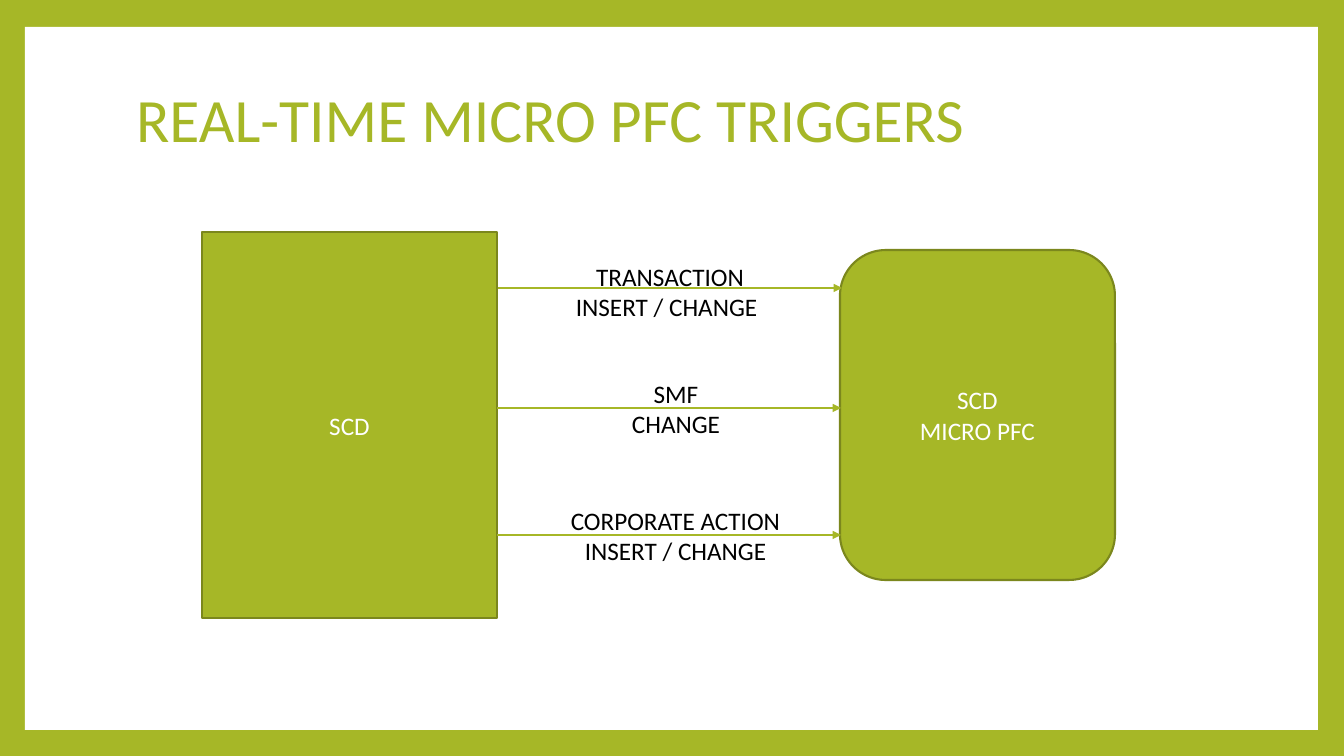
"""Build the slide on real-time micro PFC triggers."""
from lxml import etree
from pptx import Presentation, util as u
from pptx.dml.color import RGBColor
from pptx.enum import shapes, text
from pptx.oxml.ns import qn

SCALE = 914400 / 100.8
GREEN, DARK_GREEN, WHITE, BLACK = "A6B727", "7B871D", "FFFFFF", "000000"
CENTER, LEFT = text.PP_ALIGN.CENTER, text.PP_ALIGN.LEFT
MIDDLE, TOP = text.MSO_ANCHOR.MIDDLE, text.MSO_ANCHOR.TOP


def px(*lengths):
    return [u.Emu(round(length * SCALE)) for length in lengths]


def rgb(code):
    return RGBColor.from_string(code)


def assign(target, values):
    for key, value in values.items():
        setattr(target, key, value)


class Deck:
    font = "Calibri"

    def __init__(self, width, height):
        self.prs = Presentation()
        self.prs.slide_width, self.prs.slide_height = px(width, height)
        self.slide = self.prs.slides.add_slide(self.prs.slide_layouts[5])

    def background(self, color):
        fill = self.slide.background.fill
        fill.solid()
        fill.fore_color.rgb = rgb(color)

    def wording(self, shape, lines, size, color, aligns, frame, spacing=None):
        body = shape.text_frame
        body.text = "\n".join(lines)
        assign(body, frame)
        for paragraph, align in zip(body.paragraphs, aligns):
            assign(paragraph, {"alignment": align, "line_spacing": spacing})
            for run in paragraph.runs:
                assign(run.font, {"name": self.font, "size": u.Pt(size)})
                run.font.color.rgb = rgb(color)

    def title(self, line, box):
        heading = self.slide.shapes.title
        assign(heading, dict(zip(("left", "top", "width", "height"), px(*box))))
        self.wording(heading, [line], 44, GREEN, [LEFT],
                     {"vertical_anchor": MIDDLE, "word_wrap": True,
                      "auto_size": text.MSO_AUTO_SIZE.NONE}, 0.9)

    def block(self, kind, box, fill, outline=None, lines=()):
        block = self.slide.shapes.add_shape(kind, *px(*box))
        block.shadow.inherit = False
        block.fill.solid()
        block.fill.fore_color.rgb = rgb(fill)
        if outline:
            block.line.color.rgb = rgb(outline)
            block.line.width = u.Pt(1.5)
        else:
            block.line.fill.background()
        if lines:
            self.wording(block, lines, 18, WHITE, [CENTER] * len(lines),
                         {"vertical_anchor": MIDDLE, "word_wrap": True})
        return block

    def panel(self, box, fill):
        panel = self.block(shapes.MSO_SHAPE.RECTANGLE, box, fill)
        self.slide.shapes.title.element.addprevious(panel.element)

    def arrow(self, start, end, y):
        arrow = self.slide.shapes.add_connector(
            shapes.MSO_CONNECTOR.ELBOW, *px(start, y, end, y))
        arrow.line.color.rgb = rgb(GREEN)
        arrow.line.width = u.Pt(0.79)
        properties = arrow.element.spPr
        etree.SubElement(properties.find(qn("a:ln")), qn("a:tailEnd"), type="triangle")
        etree.SubElement(properties, qn("a:effectLst"))

    def label(self, box, lines, aligns):
        label = self.slide.shapes.add_textbox(*px(*box))
        self.wording(label, lines, 18, BLACK, aligns,
                     {"vertical_anchor": TOP, "word_wrap": False,
                      "auto_size": text.MSO_AUTO_SIZE.SHAPE_TO_FIT_TEXT})


deck = Deck(1344, 756)
deck.background(GREEN)
deck.panel((25, 27, 1293, 703), WHITE)
deck.title("REAL-TIME MICRO PFC TRIGGERS", (126, 67, 1089, 112))
deck.block(shapes.MSO_SHAPE.RECTANGLE, (202, 232, 295, 386),
           GREEN, DARK_GREEN, ["SCD"])
deck.block(shapes.MSO_SHAPE.ROUNDED_RECTANGLE, (840, 250, 275, 330),
           GREEN, DARK_GREEN, ["SCD", "MICRO PFC"])

triggers = [
    (498, 842, 288, (566, 256, 214, 71),
     ["TRANSACTION ", "INSERT / CHANGE"], [CENTER, LEFT]),
    (497, 841, 408, (618, 373, 116, 71), ["SMF", "CHANGE"], [CENTER] * 2),
    (497, 841, 535, (550, 500, 251, 71),
     ["CORPORATE ACTION", "INSERT / CHANGE"], [CENTER] * 2),
]
for start, end, y, *_ in triggers:
    deck.arrow(start, end, y)
for *_, box, lines, aligns in triggers:
    deck.label(box, lines, aligns)

deck.prs.save("out.pptx")
